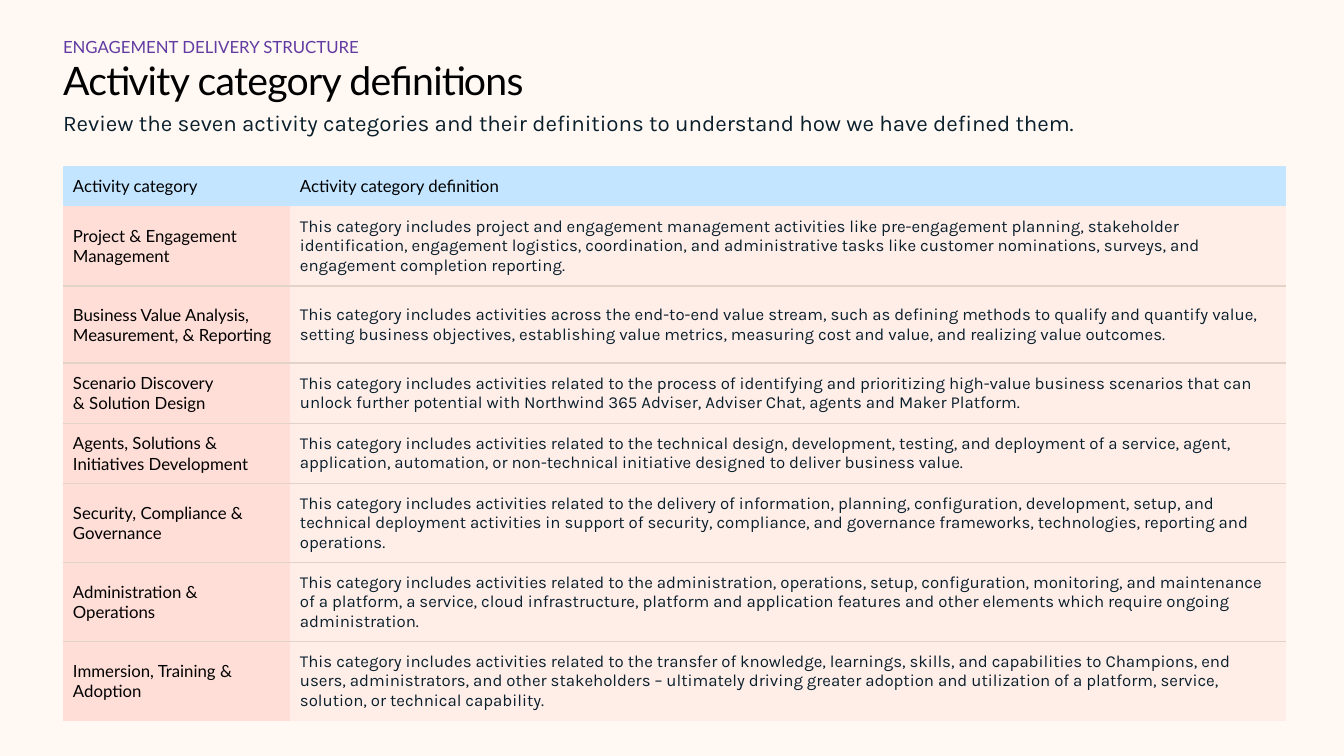
from pptx import Presentation
from pptx.dml.color import RGBColor
from pptx.enum.text import MSO_ANCHOR as Anchor, MSO_AUTO_SIZE as Fit, PP_ALIGN as Align
from pptx.oxml import parse_xml
from pptx.oxml.ns import nsdecls
from pptx.util import Pt
from lxml.etree import SubElement

# Content
EYEBROW = "ENGAGEMENT DELIVERY STRUCTURE"
TITLE = "Activity category definitions"
LEAD = "Review the seven activity categories and their definitions to understand how we have defined them."
HEADS = ("Activity category", "Activity category definition")
ROWS = [  # height, category, definition
    (80, "Project & Engagement Management",
     "This category includes project and engagement management activities like pre-engagement planning, "
     "stakeholder identification, engagement logistics, coordination, and administrative tasks like "
     "customer nominations, surveys, and engagement completion reporting."),
    (77, "Business Value Analysis, Measurement, & Reporting",
     "This category includes activities across the end-to-end value stream, such as defining methods to "
     "qualify and quantify value, setting business objectives, establishing value metrics, measuring cost "
     "and value, and realizing value outcomes."),
    (60, "Scenario Discovery \n& Solution Design",
     "This category includes activities related to the process of identifying and prioritizing high-value "
     "business scenarios that can unlock further potential with Northwind 365 Adviser, Adviser Chat, "
     "agents and Maker Platform."),
    (60, "Agents, Solutions & Initiatives Development",
     "This category includes activities related to the technical design, development, testing, and "
     "deployment of a service, agent, application, automation, or non-technical initiative designed to "
     "deliver business value."),
    (79, "Security, Compliance & Governance",
     "This category includes activities related to the delivery of information, planning, configuration, "
     "development, setup, and technical deployment activities in support of security, compliance, and "
     "governance frameworks, technologies, reporting and operations."),
    (79, "Administration & Operations",
     "This category includes activities related to the administration, operations, setup, configuration, "
     "monitoring, and maintenance of a platform, a service, cloud infrastructure, platform and application "
     "features and other elements which require ongoing administration."),
    (79, "Immersion, Training & Adoption",
     "This category includes activities related to the transfer of knowledge, learnings, skills, and "
     "capabilities to Champions, end users, administrators, and other stakeholders – ultimately driving "
     "greater adoption and utilization of a platform, service, solution, or technical capability."),
]
HEX = {"page": "FFF8F3", "head": "C3E5FF", "name": "FFDED7", "text": "FFEDE8",
       "rule": "E1D3C7", "black": "000000", "navy": "091F2C", "violet": "613BA1"}
LEFT, WIDE = 63, 1215
COLS = (227, 996)
HEAD_H, TOP = 40, 166
PLAIN = "{2D5ABB26-0587-4C30-8999-92F81FD0307C}"  # table style without lines or bands


def px(n):
    return round(n * 9144000 / 1008)


def color(key):
    return RGBColor.from_string(HEX[key])


def write(para, text, size, font, ink):
    for i, line in enumerate(text.split("\n")):
        if i:
            para.add_line_break()
        run = para.add_run()
        run.text = line
        run.font.size, run.font.name, run.font.bold = Pt(size), font, False
        run.font.color.rgb = color(ink)
    return run


def fill_box(box, text, top, high, size, font, ink, inset=0):
    box.left, box.top, box.width, box.height = map(px, (LEFT, top, WIDE, high))
    frame = box.text_frame
    frame.word_wrap, frame.auto_size = True, Fit.NONE
    frame.vertical_anchor = Anchor.TOP
    frame.margin_left = frame.margin_right = frame.margin_bottom = 0
    frame.margin_top = px(inset)
    para = frame.paragraphs[0]
    props = para._p.get_or_add_pPr()
    props.set("marL", "0")
    props.set("indent", "0")
    props.append(parse_xml(f"<a:buNone {nsdecls('a')}/>"))
    para.alignment, para.space_before = Align.LEFT, Pt(0)
    return write(para, text, size, font, ink)


def fill_cell(cell, text, font, ink, fill, rules=()):
    cell.margin_left = cell.margin_right = cell.margin_top = cell.margin_bottom = px(10)
    cell.vertical_anchor = Anchor.MIDDLE
    write(cell.text_frame.paragraphs[0], text, 12, font, ink)
    props = cell._tc.get_or_add_tcPr()
    for side in rules:
        props.append(parse_xml(
            f'<a:{side} {nsdecls("a")} w="12700"><a:solidFill><a:srgbClr val="{HEX["rule"]}"/>'
            f'</a:solidFill></a:{side}>'))
    cell.fill.solid()
    cell.fill.fore_color.rgb = color(fill)


deck = Presentation()
deck.slide_width, deck.slide_height = px(1344), px(756)
slide = deck.slides.add_slide(deck.slide_layouts[3])
slide.background.fill.solid()
slide.background.fill.fore_color.rgb = color("page")

# Heading
title, eyebrow, lead = list(slide.placeholders)[:3]
run = fill_box(title, TITLE, 56, 47, 28, "Lato", "black")
run.font._element.set("spc", "-50")
fill_box(eyebrow, EYEBROW, 37, 20, 12, "Lato", "violet")
fill_box(lead, LEAD, 104, 35, 16, "Karla", "navy", inset=5)

# Table
heights = [HEAD_H] + [row[0] for row in ROWS]
frame = slide.shapes.add_table(len(heights), len(COLS), px(LEFT), px(TOP),
                               px(sum(COLS)), px(sum(heights)))
table = frame.table
table.horz_banding = False
style = table._tbl.tblPr
for old in list(style):
    style.remove(old)
SubElement(style, "{http://schemas.openxmlformats.org/drawingml/2006/main}tableStyleId").text = PLAIN
for col, wide in zip(table.columns, COLS):
    col.width = px(wide)
for row, high in zip(table.rows, heights):
    row.height = px(high)
for c, head in enumerate(HEADS):
    fill_cell(table.cell(0, c), head, "Lato", "black", "head")
for r, (_, name, text) in enumerate(ROWS, 1):
    rules = [side for side, shown in (("lnT", r > 1), ("lnB", r < len(ROWS))) if shown]
    fill_cell(table.cell(r, 0), name, "Lato", "black", "name", rules)
    fill_cell(table.cell(r, 1), text, "Karla", "navy", "text", rules)

deck.save("out.pptx")
